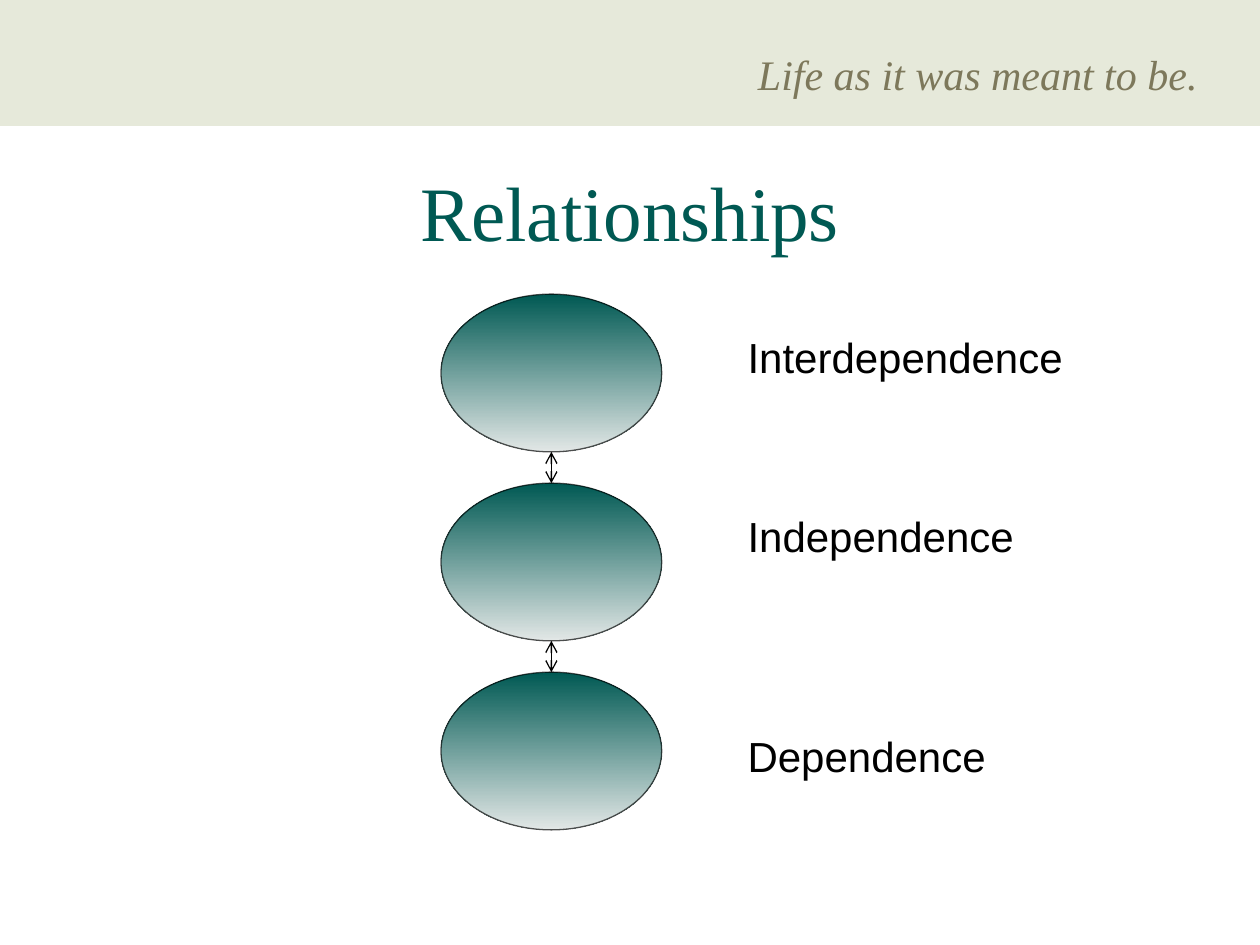
from lxml import etree
from pptx import Presentation
from pptx import util as u
from pptx.dml.color import RGBColor
from pptx.enum import shapes, text
from pptx.oxml.ns import qn


def tint(code):
    return RGBColor.from_string(code)


def write(box, words, size, face, code, slant=False):
    frame = box.text_frame
    frame.word_wrap = True
    frame.text = words
    font = frame.paragraphs[0].runs[0].font
    font.size = u.Pt(size)
    font.name = face
    font.italic = slant
    font.color.rgb = tint(code)


deck = Presentation()
deck.slide_width, deck.slide_height = u.Cm(25.4), u.Cm(19.05)
slide = deck.slides.add_slide(deck.slide_layouts[5])
items = slide.shapes

band = items.add_shape(shapes.MSO_SHAPE.RECTANGLE, 0, 0, deck.slide_width, u.Cm(2.54))
band.shadow.inherit = False
band.fill.solid()
band.fill.fore_color.rgb = tint("E6E9DA")
band.line.fill.background()

motto = items.add_textbox(u.Cm(15.03), u.Cm(0.85), u.Cm(9.96), u.Cm(1.27))
write(motto, "Life as it was meant to be.", 24, "Times New Roman", "7D785B", True)

title = items.title
title.left, title.top = u.Cm(1.9), u.Cm(3.18)
title.width, title.height = u.Cm(21.6), u.Cm(2.12)
write(title, "Relationships", 44, "Times New Roman", "005953")
title.text_frame.vertical_anchor = text.MSO_ANCHOR.MIDDLE
title.text_frame.paragraphs[0].alignment = text.PP_ALIGN.CENTER

left, top, wide, high, step = 8.89, 5.93, 4.45, 3.18, 3.81
stages = [("Interdependence", 6.56), ("Independence", 10.16), ("Dependence", 14.6)]

for row, (name, place) in enumerate(stages):
    edge = top + row * step
    oval = items.add_shape(shapes.MSO_SHAPE.OVAL, u.Cm(left), u.Cm(edge), u.Cm(wide), u.Cm(high))
    oval.shadow.inherit = False
    oval.fill.gradient()
    oval.fill.gradient_angle = 270
    for stop, code, spot in zip(oval.fill.gradient_stops, ("005953", "E2E7E6"), (0, 1)):
        stop.color.rgb = tint(code)
        stop.position = spot
    oval.line.width = u.Pt(0.75)
    oval.line.color.rgb = tint("000000")
    ink = oval.line._ln.find(".//" + qn("a:srgbClr"))
    etree.SubElement(ink, qn("a:alpha"), val="66000")

    label = items.add_textbox(u.Cm(14.82), u.Cm(place), u.Cm(7.41), u.Cm(1.27))
    write(label, name, 24, "Arial", "000000")

for row in range(len(stages) - 1):
    mid = u.Cm(left + wide / 2)
    start = top + row * step + high
    link = items.add_connector(
        shapes.MSO_CONNECTOR.STRAIGHT, mid, u.Cm(start), mid, u.Cm(top + (row + 1) * step))
    link.line.width = u.Pt(0.75)
    link.line.color.rgb = tint("000000")
    for end in ("headEnd", "tailEnd"):
        etree.SubElement(link.line._ln, qn("a:" + end), type="arrow")
    etree.SubElement(link._element.spPr, qn("a:effectLst"))

deck.save("out.pptx")
